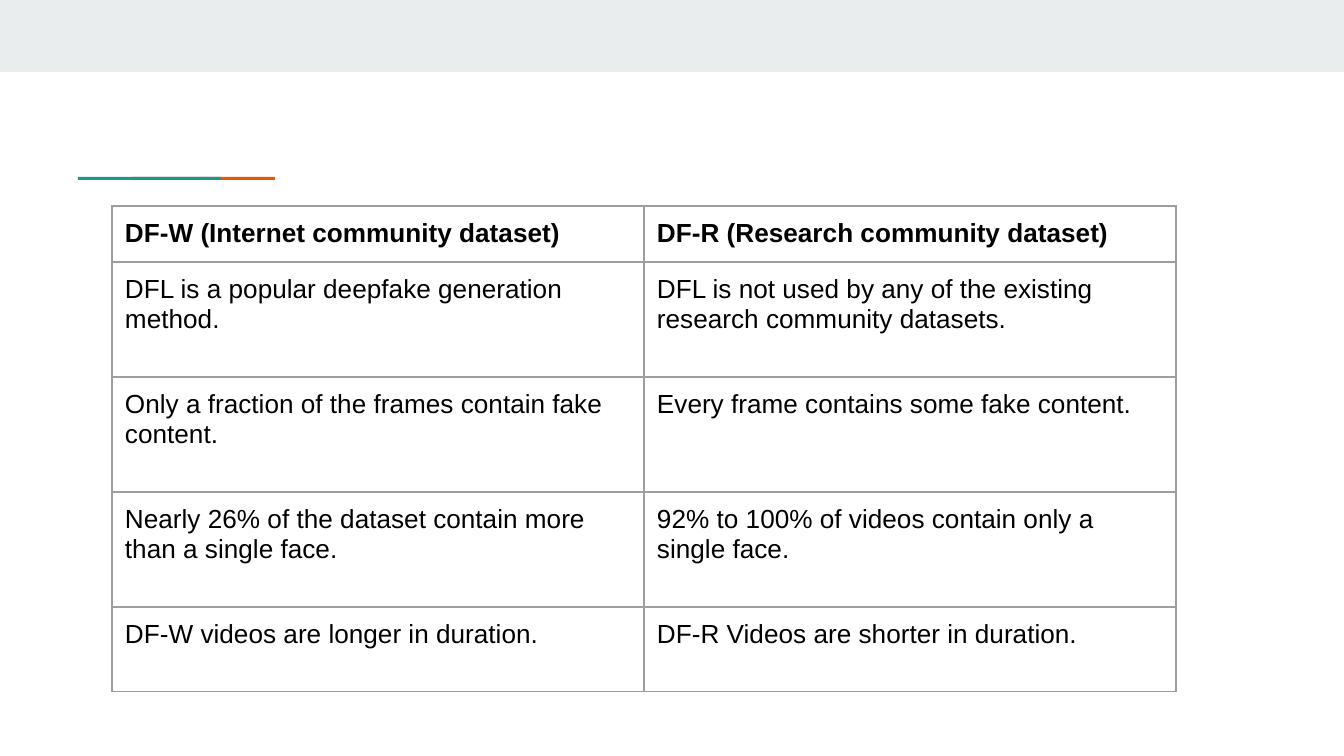
from pptx import Presentation
from pptx.dml.color import RGBColor
from pptx.enum.shapes import MSO_SHAPE
from pptx.oxml import parse_xml
from pptx.oxml.ns import nsdecls
from pptx.util import Emu, Pt

RECTANGLE = MSO_SHAPE.RECTANGLE
EMU_PER_PX = 914400 / 134.4
PALE_GREY = RGBColor(0xE9, 0xED, 0xEE)
TEAL = RGBColor(0x1A, 0x99, 0x88)
ORANGE = RGBColor(0xEB, 0x56, 0x00)
BLACK = RGBColor(0x00, 0x00, 0x00)
BORDER_GREY = RGBColor(0x9E, 0x9E, 0x9E)
BORDER_WIDTH = Pt(0.75)
CELL_INSET = 13
ACCENT_OFFSET = 54
ROW_HEIGHTS = [56, 115, 115, 115, 85]
COMPARISON = [
    ("DF-W (Internet community dataset)", "DF-R (Research community dataset)"),
    ("DFL is a popular deepfake generation method.",
     "DFL is not used by any of the existing research community datasets."),
    ("Only a fraction of the frames contain fake content.",
     "Every frame contains some fake content."),
    ("Nearly 26% of the dataset contain more than a single face.",
     "92% to 100% of videos contain only a single face."),
    ("DF-W videos are longer in duration.", "DF-R Videos are shorter in duration."),
]


def px(length):
    """Turn a length in px into EMU."""
    return Emu(round(length * EMU_PER_PX))


def add_bar(slide, left, top, width, height, color):
    """Add a plain filled bar without outline."""
    bar = slide.shapes.add_shape(RECTANGLE, px(left), px(top), px(width), px(height))
    bar.shadow.inherit = False
    bar.fill.solid()
    bar.fill.fore_color.rgb = color
    bar.line.fill.background()


def add_accent(slide, left, top, width, height):
    """Add two equal overlapping bars, teal in front of orange."""
    bar_width = width - ACCENT_OFFSET
    add_bar(slide, left + ACCENT_OFFSET, top, bar_width, height, ORANGE)
    add_bar(slide, left, top, bar_width, height, TEAL)


def set_borders(cell):
    """Draw a thin grey border on all sides of a cell."""
    properties = cell._tc.get_or_add_tcPr()
    for index, side in enumerate(("lnL", "lnR", "lnT", "lnB")):
        properties.insert(index, parse_xml(
            f'<a:{side} {nsdecls("a")} w="{BORDER_WIDTH}"><a:solidFill>'
            f'<a:srgbClr val="{BORDER_GREY}"/></a:solidFill></a:{side}>'))


def fill_cell(cell, statement, is_heading):
    """Write one statement into a cell and style it."""
    cell.fill.background()
    cell.margin_left = cell.margin_right = px(CELL_INSET)
    cell.margin_top = cell.margin_bottom = px(CELL_INSET)
    set_borders(cell)
    cell.text = statement
    font = cell.text_frame.paragraphs[0].font
    font.name = "Arial"
    font.size = Pt(14)
    font.bold = is_heading
    font.color.rgb = BLACK


def add_comparison(slide, left, top, width):
    """Add the dataset comparison table with equal columns."""
    comparison = slide.shapes.add_table(
        len(COMPARISON), len(COMPARISON[0]),
        px(left), px(top), px(width), px(sum(ROW_HEIGHTS))).table
    comparison.first_row = False
    comparison.horz_banding = False
    for column in comparison.columns:
        column.width = px(width / len(COMPARISON[0]))
    for row_index, (statements, height) in enumerate(zip(COMPARISON, ROW_HEIGHTS)):
        comparison.rows[row_index].height = px(height)
        for column_index, statement in enumerate(statements):
            fill_cell(comparison.cell(row_index, column_index), statement, row_index == 0)


def main():
    """Build and save the slide."""
    presentation = Presentation()
    presentation.slide_width = px(1344)
    presentation.slide_height = px(756)
    slide = presentation.slides.add_slide(presentation.slide_layouts[6])
    add_bar(slide, 0, 0, 1344, 72, PALE_GREY)
    add_accent(slide, 78, 177, 197, 3)
    add_comparison(slide, 112, 206, 1064)
    presentation.save("out.pptx")


if __name__ == "__main__":
    main()
